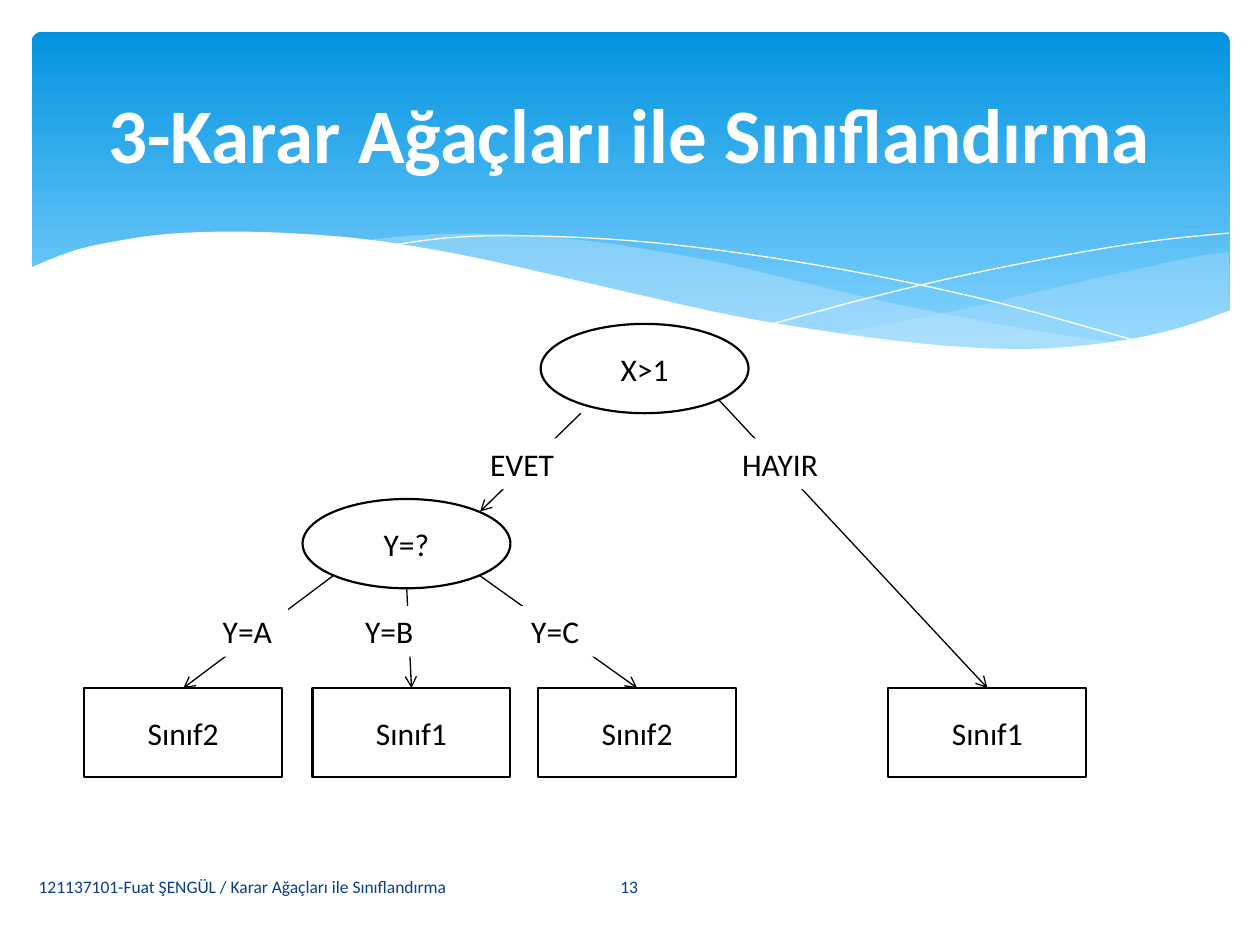
import pptx
import pptx.dml.color
import pptx.enum.shapes
import pptx.enum.text
import pptx.util
from lxml import etree

Cm, Pt = pptx.util.Cm, pptx.util.Pt
Kind = pptx.enum.shapes.MSO_SHAPE
Align = pptx.enum.text.PP_ALIGN
Fit = pptx.enum.text.MSO_AUTO_SIZE
hue = pptx.dml.color.RGBColor.from_string


def write(shape, text, size=18, color="000000", bold=False, align=Align.CENTER,
          wrap=True, anchor=pptx.enum.text.MSO_ANCHOR.MIDDLE, fit=Fit.NONE):
    frame = shape.text_frame
    frame.text = text
    frame.word_wrap = wrap
    frame.auto_size = fit
    frame.vertical_anchor = anchor
    par = frame.paragraphs[0]
    par.alignment = align
    font = par.runs[0].font
    font.name, font.size, font.bold = "Calibri", Pt(size), bold
    font.color.rgb = hue(color)


deck = pptx.Presentation()
deck.slide_width, deck.slide_height = Cm(25.4), Cm(19.05)
slide = deck.slides.add_slide(deck.slide_layouts[5])
shapes = slide.shapes

# Blue banner
banner = shapes.add_shape(Kind.ROUNDED_RECTANGLE, Cm(0.64), Cm(0.64), Cm(24.15), Cm(6.86))
banner.adjustments[0] = 0.03
banner.shadow.inherit = False
banner.line.fill.background()
banner.fill.gradient()
banner.fill.gradient_angle = 270
for stop, color, place in zip(banner.fill.gradient_stops, ("0293E0", "83D3FE"), (0, 0.9)):
    stop.color.rgb = hue(color)
    stop.position = place

# Waves: fill (None for a thin white line), opacity in percent, smooth edges in cm
waves = [
    ("C6E7FC", 29, [
        [(24.77, 5.08), (24.08, 5.18), (23.01, 5.41), (21.87, 5.66), (19.79, 6.15),
         (17.93, 6.53), (16.79, 6.73)],
        [(16.79, 6.73), (18.26, 6.91), (19.53, 7.04), (20.68, 7.06), (21.92, 6.99),
         (22.99, 6.83), (23.93, 6.58), (24.79, 6.27)]]),
    ("C6E7FC", 40, [
        [(22.68, 6.93), (21.26, 6.73), (19.69, 6.45), (17.93, 6.1), (15.98, 5.64),
         (14.45, 5.28), (13.06, 5.03), (11.81, 4.85), (10.13, 4.72), (8.74, 4.72),
         (7.26, 4.85)],
        [(7.26, 4.85), (8.69, 5.05), (10.26, 5.36), (11.4, 5.64), (13.46, 6.1),
         (15.27, 6.48), (16.89, 6.76), (18.34, 6.96), (19.63, 7.04), (21.03, 7.06),
         (22.68, 6.93)]]),
    (None, 100, [
        [(7.85, 4.95), (8.97, 4.8), (10.19, 4.75), (11.91, 4.8), (13.54, 4.93),
         (15.44, 5.18), (17.65, 5.56), (20.19, 6.12), (23.04, 6.91)]]),
    (None, 100, [
        [(15.57, 6.53), (17.65, 5.97), (19.71, 5.49), (22, 5.05), (23.47, 4.83),
         (24.77, 4.7)]]),
    ("FFFFFF", 100, [
        [(24.82, 6.25), (23.88, 6.58), (22.83, 6.83), (21.59, 6.99), (20.55, 7.04),
         (19.33, 6.99), (17.98, 6.86), (16.46, 6.65), (14.71, 6.35), (12.78, 5.92),
         (11.35, 5.59), (9.27, 5.13), (7.42, 4.83), (5.84, 4.7), (4.5, 4.67),
         (3.35, 4.72), (2.41, 4.85), (1.5, 5.05), (0.58, 5.41)],
        [(0.58, 5.41), (0.58, 8.36)],
        [(0.58, 8.36), (24.82, 8.36)]]),
]
steps = 4
for color, alpha, edges in waves:
    dots = []
    for edge in edges:
        knots = [edge[0], *edge, edge[-1]]
        dots.append(edge[0])
        # Catmull-Rom spline through the knots
        for a, b, c, d in zip(knots, knots[1:], knots[2:], knots[3:]):
            for step in range(1, steps + 1):
                t = step / steps
                dots.append(tuple(
                    b[i] + t * (c[i] - a[i]) / 2
                    + t**2 * (2 * a[i] - 5 * b[i] + 4 * c[i] - d[i]) / 2
                    + t**3 * (3 * b[i] - a[i] - 3 * c[i] + d[i]) / 2
                    for i in (0, 1)))
    dots = [(Cm(x), Cm(y)) for x, y in dots]
    pen = shapes.build_freeform(*dots[0])
    pen.add_line_segments(dots[1:], close=color is not None)
    wave = pen.convert_to_shape()
    wave.shadow.inherit = False
    if color:
        wave.line.fill.background()
        wave.fill.solid()
        wave.fill.fore_color.rgb = hue(color)
        tone = wave.element.spPr.find(".//" + pptx.oxml.ns.qn("a:srgbClr"))
        etree.SubElement(tone, pptx.oxml.ns.qn("a:alpha"), val=str(alpha * 1000))
    else:
        wave.fill.background()
        wave.line.color.rgb = hue("FFFFFF")
        wave.line.width = Pt(0)

# Footer and title
for text, left, width, align in [
        ("121137101-Fuat ŞENGÜL / Karar Ağaçları ile Sınıflandırma", 0.53, 10.52, Align.LEFT),
        ("13", 11.07, 3.23, Align.CENTER)]:
    foot = shapes.add_textbox(Cm(left), Cm(17.37), Cm(width), Cm(1.02))
    write(foot, text, size=10, color="073E87", align=align)

title = shapes.title
title.left, title.top, title.width, title.height = Cm(1.27), Cm(0.94), Cm(22.86), Cm(3.48)
write(title, "3-Karar Ağaçları ile Sınıflandırma", size=44, color="FFFFFF", bold=True)
shapes.element.append(title.element)  # bring in front of the banner

# Tree nodes
nodes = []
for text, kind, left, top, width in [
        ("X>1", Kind.OVAL, 10.9, 6.53, 4.19),
        ("Y=?", Kind.OVAL, 6.1, 10.06, 4.19),
        ("Sınıf2", Kind.RECTANGLE, 1.7, 13.87, 3.99),
        ("Sınıf1", Kind.RECTANGLE, 6.3, 13.87, 3.99),
        ("Sınıf2", Kind.RECTANGLE, 10.85, 13.87, 3.99),
        ("Sınıf1", Kind.RECTANGLE, 17.91, 13.87, 3.99)]:
    node = shapes.add_shape(kind, Cm(left), Cm(top), Cm(width), Cm(1.8))
    node.shadow.inherit = False
    node.fill.background()
    node.line.color.rgb = hue("000000")
    node.line.width = Pt(1.25)
    write(node, text)
    nodes.append(node)

# Branches: start point, end point, class box at the end
first, second, *leaves = nodes
for x, y, right, low, leaf in [
        (11.71, 8.33, 9.68, 10.31, None),
        (14.48, 8.05, 19.9, 13.87, leaves[3]),
        (6.71, 11.61, 3.7, 13.87, leaves[0]),
        (8.2, 11.86, 8.3, 13.87, leaves[1]),
        (9.68, 11.61, 12.84, 13.87, leaves[2])]:
    branch = shapes.add_connector(pptx.enum.shapes.MSO_CONNECTOR.STRAIGHT,
                                  Cm(x), Cm(y), Cm(right), Cm(low))
    if leaf is not None:
        branch.end_connect(leaf, 0)
    branch.line.color.rgb = hue("000000")
    branch.line.width = Pt(0.75)
    etree.SubElement(branch.line._get_or_add_ln(), pptx.oxml.ns.qn("a:tailEnd"), type="arrow")
    etree.SubElement(branch.element.spPr, pptx.oxml.ns.qn("a:effectLst"))

# Branch labels
for text, left, top, width in [
        ("HAYIR", 14.71, 8.84, 2.24), ("EVET", 9.63, 8.84, 1.85),
        ("Y=A", 4.24, 12.22, 1.57), ("Y=B", 7.11, 12.22, 1.57), ("Y=C", 10.46, 12.22, 1.57)]:
    label = shapes.add_textbox(Cm(left), Cm(top), Cm(width), Cm(1.02))
    label.fill.solid()
    label.fill.fore_color.rgb = hue("FFFFFF")
    write(label, text, align=Align.LEFT, wrap=False,
          anchor=pptx.enum.text.MSO_ANCHOR.TOP, fit=Fit.SHAPE_TO_FIT_TEXT)

deck.save("out.pptx")
